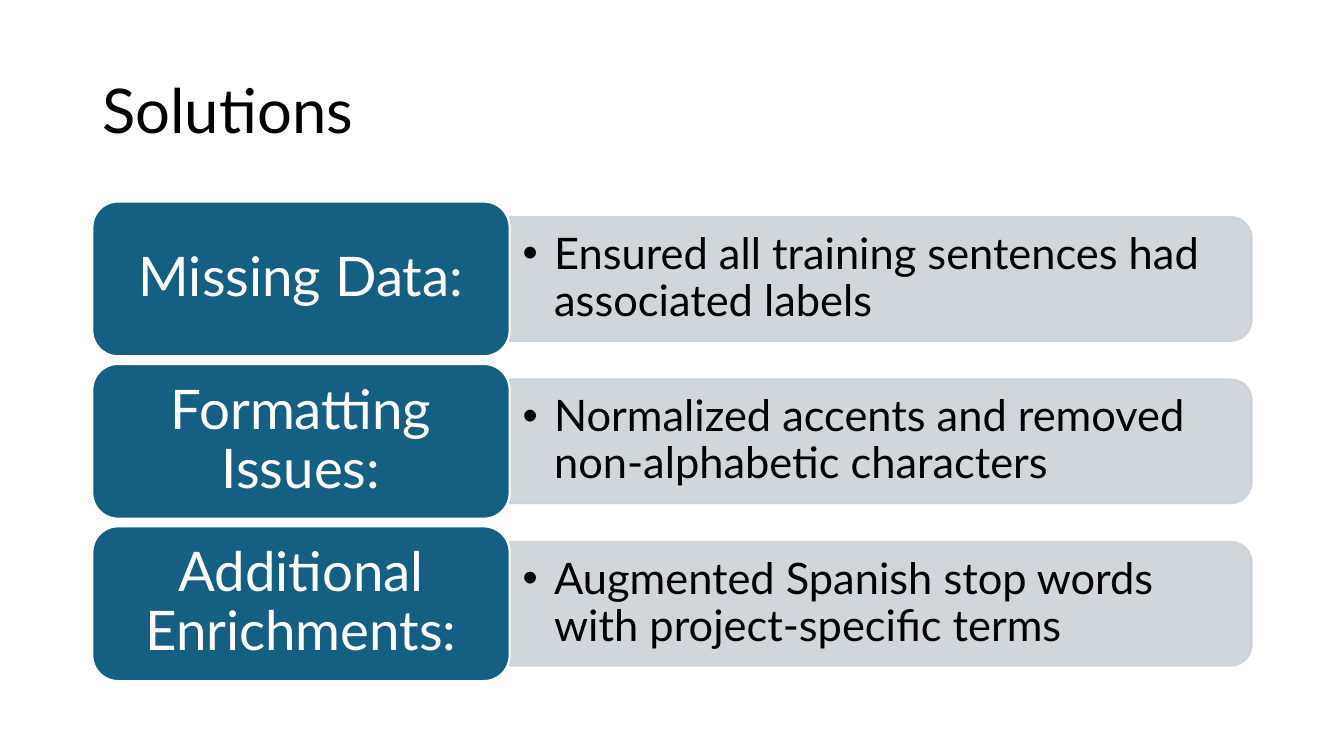
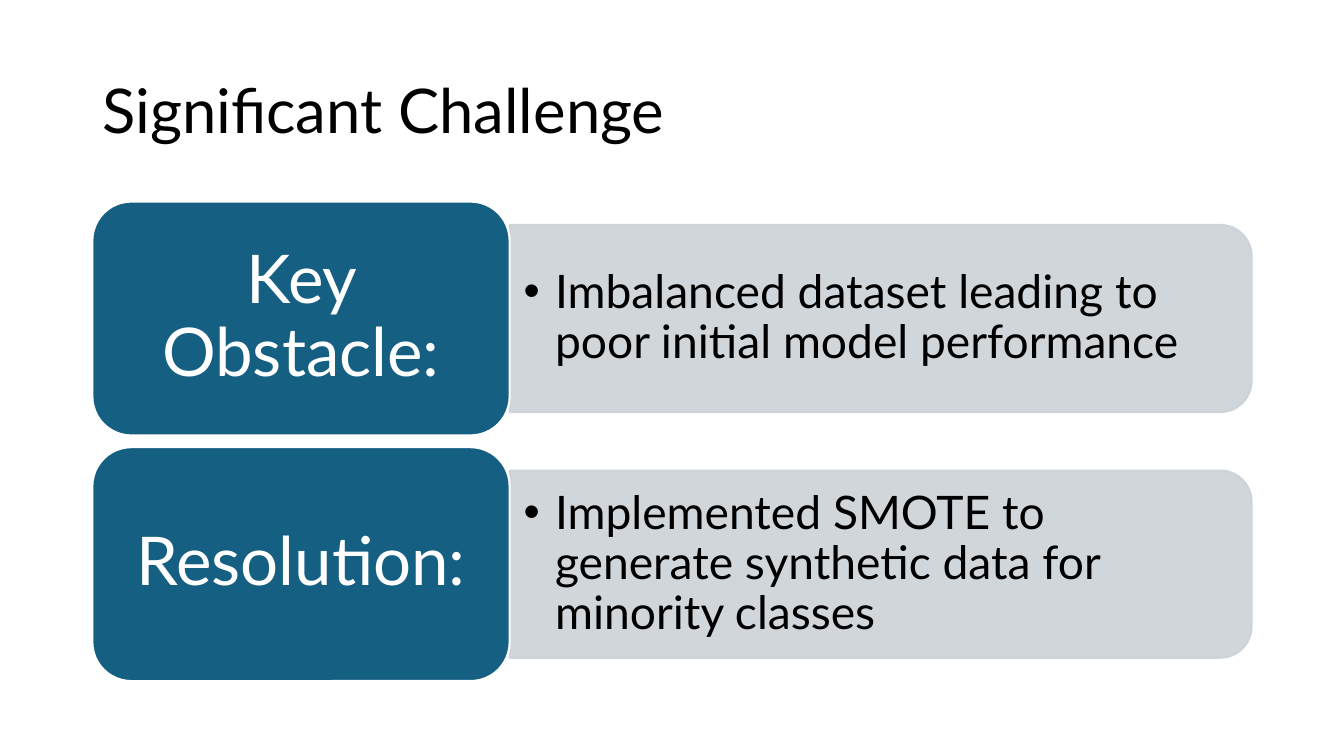
from dataclasses import dataclass

from lxml import etree
from pptx import Presentation
from pptx import util as u
from pptx.dml import color
from pptx.enum import shapes, text
from pptx.oxml import ns
from pptx.shapes.autoshape import Shape
from pptx.slide import Slide

# Shared look
FONT = "Lato"
BLACK = color.RGBColor(0x00, 0x00, 0x00)
WHITE = color.RGBColor(0xFF, 0xFF, 0xFF)
TEAL = color.RGBColor(0x15, 0x60, 0x82)
GREY = color.RGBColor(0xCC, 0xD2, 0xD8)
PANEL_OPACITY = 90
OUTLINE = 1.5

# Shared layout, in points
LEFT, WIDTH = 66, 828
TITLE_TOP, TITLE_HEIGHT, TITLE_SIZE = 28.8, 104.4, 44
ROWS_TOP, ROWS_HEIGHT = 144, 342.5
ROW_GAP = 0.05  # share of the row height
LABEL_WIDTH = 0.36 * WIDTH
PANEL_LEFT, PANEL_WIDTH = LEFT + LABEL_WIDTH, WIDTH - LABEL_WIDTH
PANEL_SHARE = 0.8  # panel height against label height
CORNER_INSET = 0.05  # space lost to a rounded corner, share of the height
BULLET_INDENT = 22.5


@dataclass(frozen=True)
class Row:
    label: str
    detail: str


@dataclass(frozen=True)
class Topic:
    title: str
    label_size: float
    detail_size: float
    rows: tuple[Row, ...]


TOPICS = (
    Topic("Solutions", 39, 31, (
        Row("Missing Data:", "Ensured all training sentences had associated labels"),
        Row("Formatting Issues:", "Normalized accents and removed non-alphabetic characters"),
        Row("Additional Enrichments:", "Augmented Spanish stop words with project-specific terms"),
    )),
    Topic("Significant Challenge", 48, 33, (
        Row("Key Obstacle:", "Imbalanced dataset leading to poor initial model performance"),
        Row("Resolution:", "Implemented SMOTE to generate synthetic data for minority classes"),
    )),
)


def apply(target: object, values: dict[str, object]) -> None:
    for name, value in values.items():
        setattr(target, name, value)


def write(holder: Shape, wording: str, size: float, ink: color.RGBColor,
          align: text.PP_ALIGN, side: float, top: float) -> None:
    """Fill a shape with one vertically centred paragraph."""
    frame = holder.text_frame
    apply(frame, {
        "word_wrap": True,
        "vertical_anchor": text.MSO_ANCHOR.MIDDLE,
        "margin_left": u.Pt(side), "margin_right": u.Pt(side),
        "margin_top": u.Pt(top), "margin_bottom": u.Pt(top),
    })
    paragraph = frame.paragraphs[0]
    apply(paragraph, {"alignment": align, "line_spacing": 0.9})
    run = paragraph.add_run()
    run.text = wording
    apply(run.font, {"name": FONT, "size": u.Pt(size)})
    run.font.color.rgb = ink


def add_bullet(holder: Shape) -> None:
    properties = holder.text_frame.paragraphs[0]._p.get_or_add_pPr()
    properties.set("marL", str(u.Pt(BULLET_INDENT)))
    properties.set("indent", str(-u.Pt(BULLET_INDENT)))
    etree.SubElement(properties, ns.qn("a:buFont"), typeface="Arial")
    etree.SubElement(properties, ns.qn("a:buChar"), char="•")


def add_block(slide: Slide, kind: shapes.MSO_SHAPE, left: float, top: float,
              width: float, height: float, fill: color.RGBColor,
              line: color.RGBColor) -> Shape:
    block = slide.shapes.add_shape(kind, *map(u.Pt, (left, top, width, height)))
    block.shadow.inherit = False
    block.fill.solid()
    block.fill.fore_color.rgb = fill
    block.line.color.rgb = line
    block.line.width = u.Pt(OUTLINE)
    return block


def add_title(slide: Slide, wording: str) -> None:
    title = slide.shapes.add_textbox(*map(u.Pt, (LEFT, TITLE_TOP, WIDTH, TITLE_HEIGHT)))
    write(title, wording, TITLE_SIZE, BLACK, text.PP_ALIGN.LEFT, 7.2, 3.6)


def add_row(slide: Slide, topic: Topic, row: Row, top: float, height: float) -> None:
    # Panel: an upright shape turned a quarter, so its round corners face right
    depth = PANEL_SHARE * height
    middle_x, middle_y = PANEL_LEFT + PANEL_WIDTH / 2, top + height / 2
    panel = add_block(slide, shapes.MSO_SHAPE.ROUND_2_SAME_RECTANGLE,
                      middle_x - depth / 2, middle_y - PANEL_WIDTH / 2,
                      depth, PANEL_WIDTH, GREY, GREY)
    panel.rotation = 90
    for tint in panel._element.spPr.iter(ns.qn("a:srgbClr")):
        etree.SubElement(tint, ns.qn("a:alpha"), val=str(PANEL_OPACITY * 1000))

    # Detail text, kept clear of the round corners
    inset = CORNER_INSET * depth
    detail = slide.shapes.add_textbox(*map(u.Pt, (
        PANEL_LEFT, middle_y - depth / 2 + inset, PANEL_WIDTH - inset, depth - 2 * inset)))
    size = topic.detail_size
    write(detail, row.detail, size, BLACK, text.PP_ALIGN.LEFT, 0.3 * size, 0.15 * size)
    add_bullet(detail)

    # Label
    label = add_block(slide, shapes.MSO_SHAPE.ROUNDED_RECTANGLE,
                      LEFT, top, LABEL_WIDTH, height, TEAL, WHITE)
    size = topic.label_size
    write(label, row.label, size, WHITE, text.PP_ALIGN.CENTER, 0.3 * size, 0.15 * size)


def add_topic(deck: Presentation, topic: Topic) -> None:
    slide = deck.slides.add_slide(deck.slide_layouts[6])
    add_title(slide, topic.title)
    count = len(topic.rows)
    height = ROWS_HEIGHT / (count + (count - 1) * ROW_GAP)
    for index, row in enumerate(topic.rows):
        add_row(slide, topic, row, ROWS_TOP + index * height * (1 + ROW_GAP), height)


def main() -> None:
    deck = Presentation()
    apply(deck, {"slide_width": u.Pt(960), "slide_height": u.Pt(540)})
    for topic in TOPICS:
        add_topic(deck, topic)
    deck.save("out.pptx")


if __name__ == "__main__":
    main()
